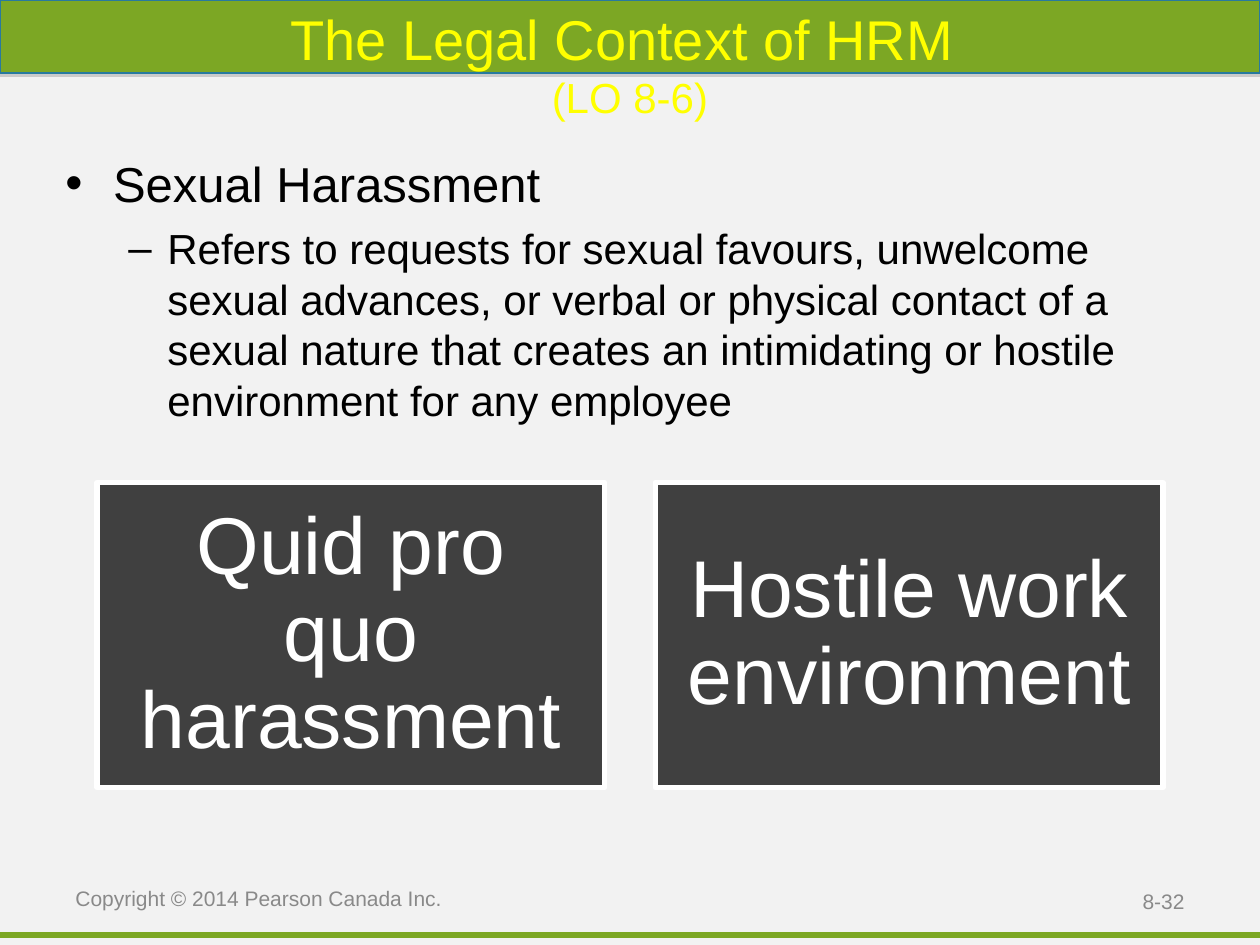
import pptx
import pptx.util
import pptx.dml.color
import pptx.enum.shapes
import pptx.enum.text
from lxml import etree

Inches, Pt = pptx.util.Inches, pptx.util.Pt
ALIGN = pptx.enum.text.PP_ALIGN
ANCHOR = pptx.enum.text.MSO_ANCHOR
SHAPE = pptx.enum.shapes.MSO_SHAPE

# Content
TITLE = "The Legal Context of HRM \v(LO 8-6)"
TITLE_SIZES = [32, 24]
BULLETS = [  # text, level, size, bullet, left margin, hanging, space before
    ("Sexual Harassment", 0, 28, "•", 0.38, 0.38, 0),
    ("Refers to requests for sexual favours, unwelcome sexual advances, or "
     "verbal or physical contact of a sexual nature that creates an "
     "intimidating or hostile environment for any employee",
     1, 24, "–", 0.81, 0.31, 6),
]
HARASSMENT_TYPES = ["Quid pro quo harassment", "Hostile work environment"]
FOOTERS = [  # text, left, top, width, height, alignment
    ("8-32", 7.17, 6.95, 2.33, 0.4, ALIGN.RIGHT),
    ("Copyright © 2014 Pearson Canada Inc.", 0.5, 6.75, 3.42, 0.75, ALIGN.LEFT),
]
COLORS = {
    "background": "F2F2F2", "green": "7CA724", "bar edge": "287A9E",
    "shadow": "808080", "title": "FFFF00", "body": "000000",
    "footer": "898989", "panel": "404040", "white": "FFFFFF",
}
CARD_LEFT, CARD_TOP, CARD_WIDTH, CARD_HEIGHT, CARD_GAP = 0.77, 3.83, 4.03, 2.42, 0.4


def color(name):
    return pptx.dml.color.RGBColor.from_string(COLORS[name])


def add_xml(parent, tag, **attributes):
    return etree.SubElement(parent, pptx.oxml.ns.qn(tag), attributes)


def style(item, size, color_name):
    item.font.name = "Arial"
    item.font.size = Pt(size)
    item.font.color.rgb = color(color_name)


def set_frame(shape, anchor, inset_x, inset_y):
    frame = shape.text_frame
    frame.word_wrap = True
    frame.vertical_anchor = anchor
    frame.margin_left = frame.margin_right = Inches(inset_x)
    frame.margin_top = frame.margin_bottom = Inches(inset_y)
    return frame


def add_text_box(left, top, width, height, anchor, inset_x=0.1, inset_y=0.05):
    box = page.shapes.add_textbox(*map(Inches, (left, top, width, height)))
    return set_frame(box, anchor, inset_x, inset_y)


def add_rectangle(left, top, width, height, fill, edge, edge_width):
    box = page.shapes.add_shape(SHAPE.RECTANGLE,
                                *map(Inches, (left, top, width, height)))
    box.shadow.inherit = False
    box.fill.solid()
    box.fill.fore_color.rgb = color(fill)
    box.line.color.rgb = color(edge)
    box.line.width = Pt(edge_width)
    return box


deck = pptx.Presentation()
deck.slide_width, deck.slide_height = Inches(10), Inches(7.5)
page = deck.slides.add_slide(deck.slide_layouts[6])
page.background.fill.solid()
page.background.fill.fore_color.rgb = color("background")

# Bottom rule
rule = page.shapes.add_connector(pptx.enum.shapes.MSO_CONNECTOR.STRAIGHT,
                                 Inches(0), Inches(7.42), Inches(10), Inches(7.42))
rule.line.color.rgb = color("green")
rule.line.width = Pt(3)
add_xml(rule._element.spPr, "a:effectLst")

# Title bar with a soft-coloured shadow below
bar = add_rectangle(0, 0, 10, 0.58, "green", "bar edge", 0.75)
effects = bar._element.spPr.find(pptx.oxml.ns.qn("a:effectLst"))
shadow = add_xml(effects, "a:outerShdw", blurRad="0", dist=str(Pt(1.8)),
                 dir="5400000", algn="ctr", rotWithShape="0")
shade = add_xml(shadow, "a:srgbClr", val=COLORS["shadow"])
add_xml(shade, "a:alpha", val="35000")

# Title
frame = add_text_box(0, 0, 10, 1, ANCHOR.MIDDLE, 0.25, 0.25)
frame.text = TITLE
para = frame.paragraphs[0]
para.alignment = ALIGN.CENTER
for span, size in zip(para.runs, TITLE_SIZES):
    style(span, size, "title")

# Bulleted definition
frame = add_text_box(0.42, 1.17, 9.17, 2.42, ANCHOR.TOP)
frame.text = "\n".join(bullet[0] for bullet in BULLETS)
for para, (_, level, size, mark, margin, hanging, before) in zip(frame.paragraphs, BULLETS):
    para.level = level
    para.space_before = Pt(before)
    properties = para._p.get_or_add_pPr()
    properties.set("marL", str(Inches(margin)))
    properties.set("indent", str(-Inches(hanging)))
    bullet_color = add_xml(properties, "a:buClr")
    add_xml(bullet_color, "a:srgbClr", val=COLORS["body"])
    add_xml(properties, "a:buFont", typeface="Arial")
    add_xml(properties, "a:buChar", char=mark)
    style(para.runs[0], size, "body")

# Page number and copyright
for text, left, top, width, height, alignment in FOOTERS:
    frame = add_text_box(left, top, width, height, ANCHOR.MIDDLE)
    frame.text = text
    frame.paragraphs[0].alignment = alignment
    style(frame.paragraphs[0].runs[0], 12, "footer")

# Harassment type cards
for index, text in enumerate(HARASSMENT_TYPES):
    left = CARD_LEFT + index * (CARD_WIDTH + CARD_GAP)
    card = add_rectangle(left, CARD_TOP, CARD_WIDTH, CARD_HEIGHT, "panel", "white", 3)
    frame = set_frame(card, ANCHOR.MIDDLE, 0.19, 0.19)
    frame.text = text
    para = frame.paragraphs[0]
    para.alignment = ALIGN.CENTER
    para.line_spacing = 0.9
    para.space_after = Pt(20.1)
    style(para.runs[0], 46, "white")

deck.save("out.pptx")
